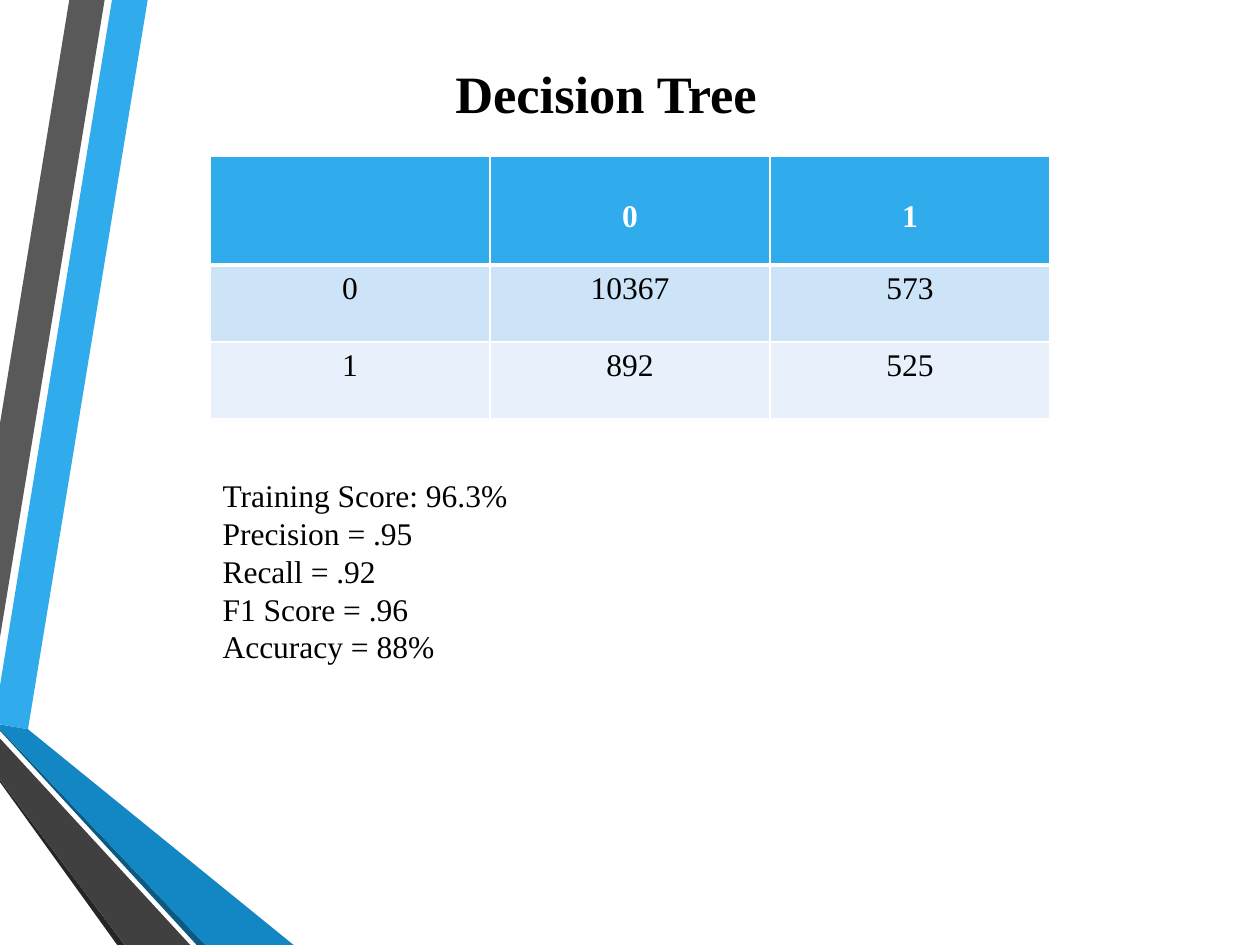
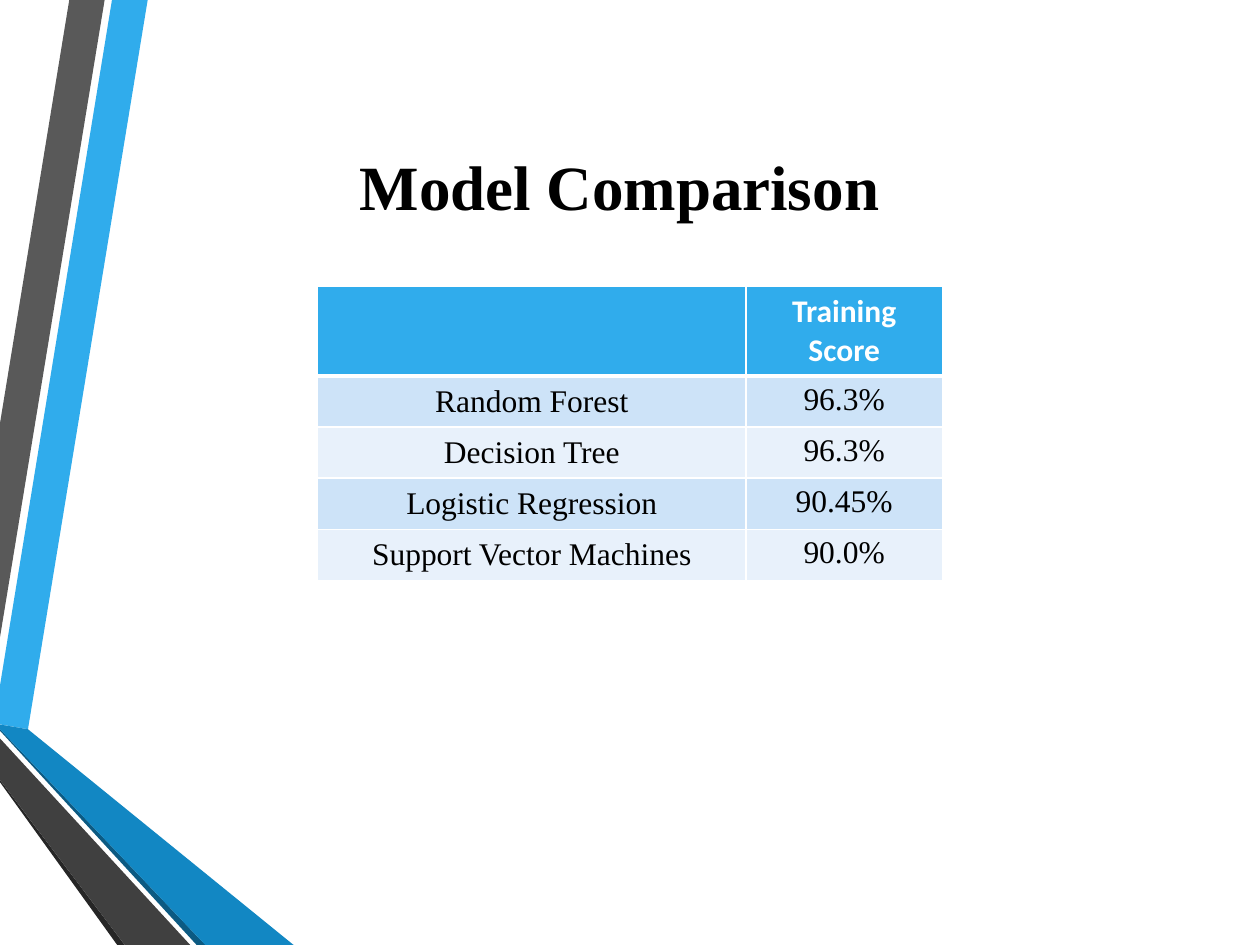
from collections import namedtuple
from dataclasses import dataclass

from lxml.etree import SubElement
from pptx import Presentation
from pptx.dml.color import RGBColor
from pptx.enum.text import MSO_ANCHOR, MSO_AUTO_SIZE, PP_ALIGN
from pptx.oxml import parse_xml
from pptx.oxml.ns import nsdecls, qn
from pptx.util import Pt

Box = namedtuple("Box", "left top width height")


@dataclass(frozen=True)
class Theme:
    ink: str = "000000"
    paper: str = "FFFFFF"
    sky: str = "30ACEC"
    ocean: str = "1287C3"
    ocean_shade: str = "0C5A82"
    slate: str = "595959"
    coal: str = "404040"
    coal_shade: str = "262626"
    bands: tuple = ("CDE3F8", "E8F1FB")
    serif: str = "Times New Roman"
    sans: str = "Calibri"
    title_size: float = 30
    large_title_size: float = 36
    text_size: float = 18
    grid_line: float = 1
    header_line: float = 3


THEME = Theme()

RIBBONS = (
    (THEME.sky, [(0, 391.7), (0, 414), (16, 416.7), (84.4, 0), (64, 0)]),
    (THEME.slate, [(59.8, 0), (39.6, 0), (0, 242), (0, 364.3)]),
    (THEME.coal_shade, [(0, 445.7), (0, 447), (67, 540), (71.3, 540)]),
    (THEME.ocean_shade, [(0, 416.7), (0, 417.6), (112.4, 540), (117.4, 540)]),
    (THEME.ocean, [(0, 416.7), (117.4, 540), (167.8, 540), (16, 416.7), (0, 414)]),
    (THEME.coal, [(0, 445.7), (71.3, 540), (108.7, 540), (0, 422)]),
)


def write(frame, *lines, size=THEME.text_size, font=THEME.serif, color=THEME.ink,
          bold=False, align=PP_ALIGN.LEFT):
    frame.word_wrap = True
    for index, line in enumerate(lines):
        paragraph = frame.add_paragraph() if index else frame.paragraphs[0]
        paragraph.alignment = align
        paragraph.space_before = Pt(0)
        run = paragraph.add_run()
        run.text = line
        run.font.size = Pt(size)
        run.font.name = font
        run.font.bold = bold
        run.font.color.rgb = RGBColor.from_string(color)


def place(placeholder, box):
    placeholder.left, placeholder.top, placeholder.width, placeholder.height = map(Pt, box)
    placeholder.text_frame.auto_size = MSO_AUTO_SIZE.NONE
    placeholder.text_frame.vertical_anchor = MSO_ANCHOR.TOP


def add_ribbons_to_master(slide, master):
    for number, (color, outline) in enumerate(RIBBONS):
        points = [(Pt(x), Pt(y)) for x, y in outline]
        builder = slide.shapes.build_freeform(*points[0])
        builder.add_line_segments(points[1:], close=True)
        ribbon = builder.convert_to_shape()
        ribbon.shadow.inherit = False
        ribbon.fill.solid()
        ribbon.fill.fore_color.rgb = RGBColor.from_string(color)
        ribbon.line.fill.background()
        ribbon.element.nvSpPr.cNvPr.set("id", str(100 + number))
        master.shapes.element.append(ribbon.element)


def add_title(slide, box, text, **style):
    title = slide.shapes.title
    place(title, box)
    write(title.text_frame, text, bold=True, **style)


def add_metrics(slide, box, *metrics):
    body = slide.placeholders[1]
    place(body, box)
    write(body.text_frame, *metrics)
    for paragraph in body.text_frame.paragraphs:
        properties = paragraph._p.get_or_add_pPr()
        properties.set("marL", "0")
        properties.set("indent", "0")
        SubElement(properties, qn("a:buNone"))


def set_borders(cell, **widths):
    properties = cell._tc.get_or_add_tcPr()
    for index, side in enumerate("LRTB"):
        width = Pt(widths.get(side, THEME.grid_line))
        properties.insert(index, parse_xml(
            f'<a:ln{side} {nsdecls("a")} w="{width}"><a:solidFill>'
            f'<a:srgbClr val="{THEME.paper}"/></a:solidFill></a:ln{side}>'))


def add_score_table(slide, box, rows, columns, header_height, header_font=THEME.serif,
                    header_inset=3.6, label_anchor=MSO_ANCHOR.TOP):
    table = slide.shapes.add_table(len(rows), len(columns), *map(Pt, box)).table
    for column, width in zip(table.columns, columns):
        column.width = Pt(width)
    body_height = (box.height - header_height) / (len(rows) - 1)
    for r, values in enumerate(rows):
        header = r == 0
        table.rows[r].height = Pt(header_height if header else body_height)
        fill = THEME.sky if header else THEME.bands[(r - 1) % 2]
        if header:
            style = dict(font=header_font, color=THEME.paper, bold=True)
            borders = dict(B=THEME.header_line)
        else:
            style = {}
            borders = dict(T=THEME.header_line) if r == 1 else {}
        for c, value in enumerate(values):
            cell = table.cell(r, c)
            cell.fill.solid()
            cell.fill.fore_color.rgb = RGBColor.from_string(fill)
            set_borders(cell, **borders)
            if header:
                cell.margin_top = Pt(header_inset)
            elif c == 0:
                cell.vertical_anchor = label_anchor
            if value:
                write(cell.text_frame, value, align=PP_ALIGN.CENTER, **style)


def fill_decision_tree(slide):
    add_title(slide, Box(253, 31, 296, 44), "Decision Tree", size=THEME.title_size)
    add_score_table(
        slide, Box(120, 89.5, 480, 150),
        [("", "0", "1"), ("0", "10367", "573"), ("1", "892", "525")],
        columns=[160] * 3, header_height=62, header_inset=24.3)
    add_metrics(
        slide, Box(120, 268.5, 429, 117),
        "Training Score: 96.3%", "Precision = .95", "Recall = .92",
        "F1 Score = .96", "Accuracy = 88%")


def fill_model_comparison(slide):
    add_title(slide, Box(58, 80.5, 592, 51), "Model Comparison",
              size=THEME.large_title_size, align=PP_ALIGN.CENTER)
    add_score_table(
        slide, Box(181.5, 163.7, 357, 166.8),
        [("", "Training Score"), ("Random Forest", "96.3%"), ("Decision Tree", "96.3%"),
         ("Logistic Regression", "90.45%"), ("Support Vector Machines", "90.0%")],
        columns=[244.8, 112.2], header_height=50, header_font=THEME.sans,
        label_anchor=MSO_ANCHOR.MIDDLE)


def main():
    deck = Presentation()
    deck.slide_width, deck.slide_height = Pt(720), Pt(540)
    title_and_content, title_only = deck.slide_layouts[1], deck.slide_layouts[5]
    decision_tree = deck.slides.add_slide(title_and_content)
    add_ribbons_to_master(decision_tree, deck.slide_master)
    fill_decision_tree(decision_tree)
    fill_model_comparison(deck.slides.add_slide(title_only))
    deck.save("out.pptx")


if __name__ == "__main__":
    main()
